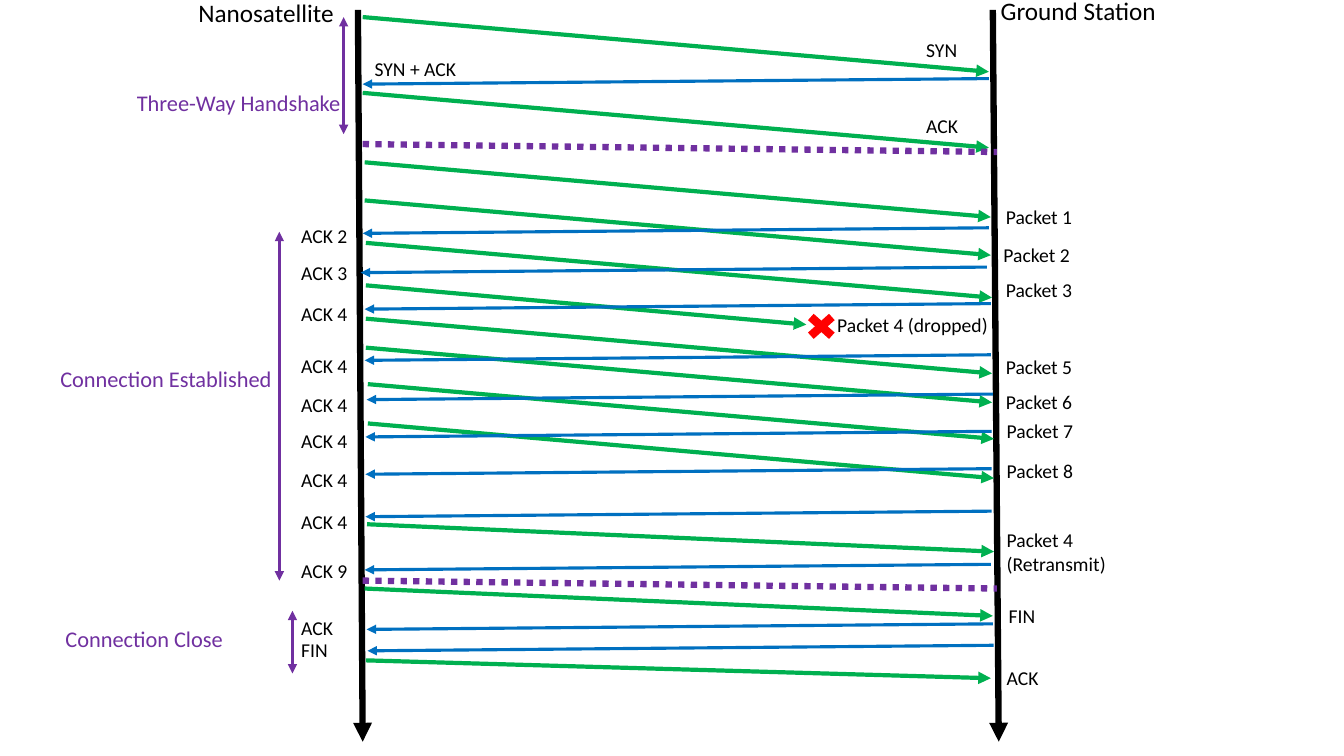
from pptx import Presentation
from pptx.dml.color import RGBColor
from pptx.enum.dml import MSO_LINE as Dash
from pptx.enum.shapes import MSO_CONNECTOR as Link, MSO_SHAPE as Form
from pptx.enum.text import MSO_AUTO_SIZE as Fit
from pptx.oxml.ns import qn
from pptx.util import Cm, Pt
from lxml.etree import SubElement as Sub

BLACK = RGBColor(0x00, 0x00, 0x00)
GREEN = RGBColor(0x00, 0xB0, 0x50)
BLUE = RGBColor(0x00, 0x70, 0xC0)
PURPLE = RGBColor(0x70, 0x30, 0xA0)
RED = RGBColor(0xFF, 0x00, 0x00)


def write(frame, text, size=14, color=BLACK, font="Calibri"):
    run = frame.paragraphs[0].add_run()
    run.text = text
    run.font.name = font
    run.font.size = Pt(size)
    run.font.color.rgb = color


class Chart:
    span = 15.78
    drop = 1.38
    rise = 0.14

    def __init__(self, slide):
        self.shapes = slide.shapes

    def label(self, text, x, y, w=4.65, h=0.86, **style):
        box = self.shapes.add_textbox(Cm(x), Cm(y), Cm(w), Cm(h))
        frame = box.text_frame
        frame.word_wrap = True
        frame.auto_size = Fit.SHAPE_TO_FIT_TEXT
        write(frame, text, **style)

    def line(self, x, y, end, base, color, width, heads=("tailEnd",), dash=None):
        link = self.shapes.add_connector(
            Link.STRAIGHT, Cm(x), Cm(y), Cm(end), Cm(base))
        link.line.color.rgb = color
        link.line.width = Pt(width)
        if dash:
            link.line.dash_style = dash
        props = link.element.spPr
        for head in heads:
            Sub(props.find(qn("a:ln")), qn("a:" + head), type="triangle")
        Sub(props, qn("a:effectLst"))

    def send(self, x, y, span=span, drop=drop):
        self.line(x, y, x + span, y + drop, GREEN, 3)

    def reply(self, x, y):
        self.line(x, y, x - self.span, y + self.rise, BLUE, 2.25)

    def split(self, y):
        self.line(9.14, y, 25.12, y + 0.2, PURPLE, 4.5, (), Dash.ROUND_DOT)

    def phase(self, text, left, top, x, y, base):
        self.label(text, left, top, 7.7, 0.94, size=16, color=PURPLE)
        self.line(x, y, x, base, PURPLE, 2.25, ("headEnd", "tailEnd"))

    def cross(self, x, y, w, h):
        mark = self.shapes.add_shape(
            Form.MATH_MULTIPLY, Cm(x), Cm(y), Cm(w), Cm(h))
        mark.shadow.inherit = False
        mark.fill.solid()
        mark.fill.fore_color.rgb = RED
        mark.line.fill.background()


HOSTS = [("Nanosatellite", 4.75, -0.2, 9.02, 9.14),
         ("Ground Station", 24.97, -0.25, 25.02, 25.17)]
SENDS = [(9.14, 0.43), (9.14, 2.34), (9.19, 4.09), (9.19, 5.05), (9.22, 6.12),
         (9.22, 7.19, 11.1, 0.99), (9.22, 8.03), (9.22, 8.76), (9.27, 9.68),
         (9.27, 10.67), (9.25, 13.21, 15.8, 0.69), (9.19, 14.83, 15.83, 0.69),
         (9.22, 16.64, 15.75, 0.45)]
REPLIES = [(24.92, 1.98), (24.92, 5.74), (24.87, 6.73), (24.97, 7.65),
           (24.97, 8.94), (25.02, 9.93), (24.99, 10.87), (24.99, 11.81),
           (24.99, 12.88), (24.97, 14.22), (25.02, 15.72), (25.04, 16.26)]
ACKS = [("ACK 2", 5.51), ("ACK 3", 6.45), ("ACK 4", 7.49), ("ACK 4", 8.79),
        ("ACK 4", 9.78), ("ACK 4", 10.69), ("ACK 4", 11.66), ("ACK 4", 12.73),
        ("ACK 9", 13.97), ("ACK", 15.39), ("FIN", 15.95)]
NOTES = [("SYN", 23.09, 0.84), ("SYN + ACK", 9.19, 1.32), ("ACK", 23.09, 2.74),
         ("Packet 1", 25.1, 5.03), ("Packet 2", 25.04, 5.99),
         ("Packet 3", 25.1, 6.88), ("Packet 4 (dropped)", 20.85, 7.77),
         ("Packet 5", 25.1, 8.81), ("Packet 6", 25.1, 9.7),
         ("Packet 7", 25.12, 10.44), ("Packet 8", 25.12, 11.43),
         ("Packet 4 (Retransmit)", 25.12, 13.18, 4.65, 1.45),
         ("FIN", 25.17, 15.09), ("ACK", 25.12, 16.66)]
PHASES = [("Three-Way Handshake", 3.2, 2.11, 8.66, 0.43, 3.38),
          ("Connection Established", 1.27, 9.07, 7.04, 5.84, 14.63),
          ("Connection Close", 1.4, 15.62, 7.37, 15.39, 16.97)]


def main():
    deck = Presentation()
    deck.slide_width, deck.slide_height = Cm(33.87), Cm(19.05)
    chart = Chart(deck.slides.add_slide(deck.slide_layouts[6]))
    for name, left, top, x, end in HOSTS:
        chart.line(x, 0.25, end, 18.69, BLACK, 4.5)
        chart.label(name, left, top, 5.61, 1.02, size=18)
    for item in SENDS:
        chart.send(*item)
    for item in REPLIES:
        chart.reply(*item)
    for y in (3.63, 14.63):
        chart.split(y)
    for text, y in ACKS:
        chart.label(text, 7.34, y)
    for item in NOTES:
        chart.label(*item)
    for item in PHASES:
        chart.phase(*item)
    chart.cross(20.19, 7.77, 1.02, 0.91)
    deck.save("out.pptx")


if __name__ == "__main__":
    main()
